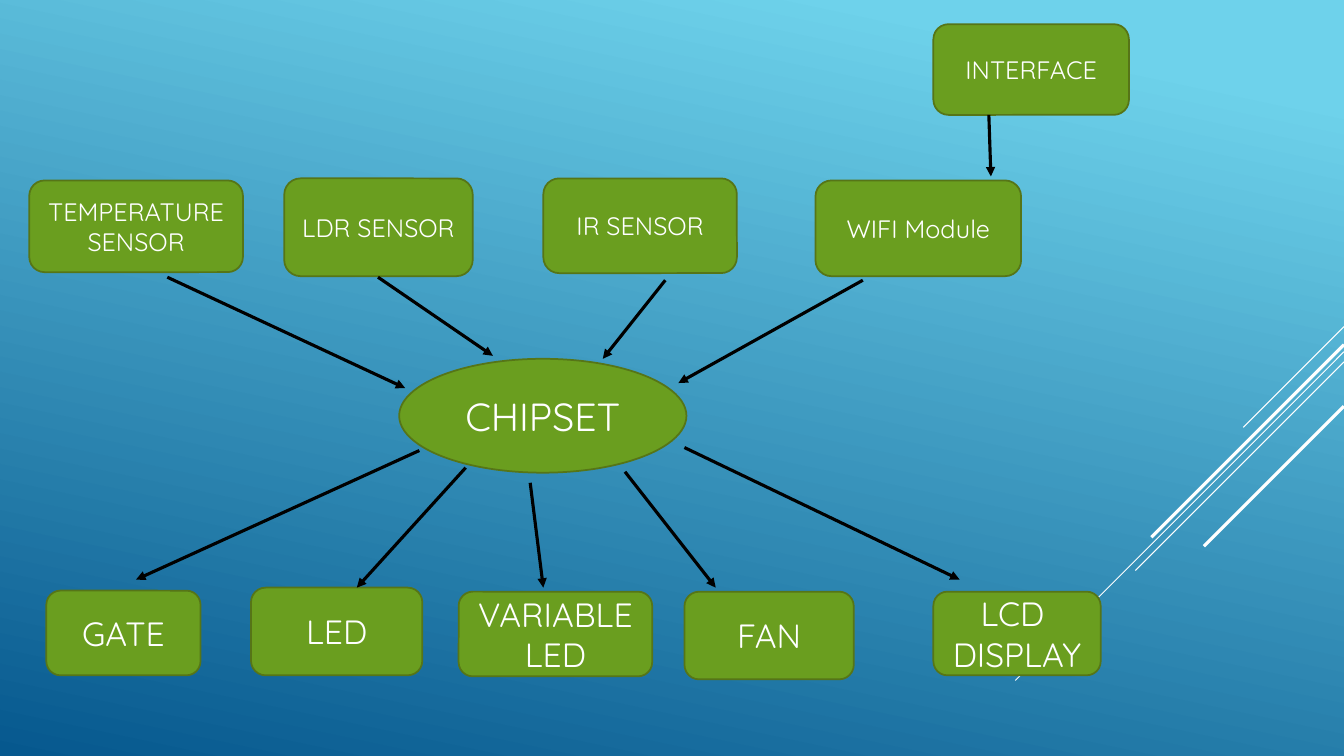
import pptx
import pptx.util
import pptx.dml.color
import pptx.enum.shapes
import pptx.enum.text
import pptx.oxml.ns
import lxml.etree

KIND = pptx.enum.shapes.MSO_SHAPE
FONT = "Quicksand"
WIDE, HIGH = 133.33, 75

INPUTS = [
    ("TEMPERATURE SENSOR", (0, 0.2, 21.2, 9.1), (13.7, 9.8, 37.3, 20.8)),
    ("LDR SENSOR", (25.3, 0, 18.7, 9.7), (34.6, 9.8, 46, 17.6)),
    ("IR SENSOR", (51, 0, 19.2, 9.4), (63.1, 10.1, 56.9, 17.9)),
    ("WIFI Module", (78, 0.2, 20.4, 9.5), (82.7, 10.1, 64.4, 20.3)),
]
OUTPUTS = [
    ("GATE", (0, 0.3, 15.3, 8.4), (37, -13.6, 8.9, -0.8)),
    ("LED", (20.3, 0, 17, 8.7), (41.6, -11.9, 30.8, 0)),
    ("VARIABLE\vLED", (40.9, 0.4, 19.2, 8.4), (48, -10.4, 49.3, 0)),
    ("FAN", (63.3, 0.4, 16.8, 8.7), (57.4, -11.5, 66.4, 0)),
    ("LCD \nDISPLAY", (88, 0.4, 16.6, 8.3), (63.3, -13.9, 90.6, -0.8)),
]
SOURCE = [("INTERFACE", (0, 0, 19.4, 9), (5.5, 9, 5.7, 15.1))]
STREAKS = [
    (32.4, 10, 0.75),
    (34.9, 32.6, 0.75),
    (35.9, 20.7, 0.75),
    (34.2, 19.1, 2.25),
    (40.3, 13.9, 2.25),
]


def grid(count):
    return pptx.util.Inches(count / 10)


def tint(code):
    return pptx.dml.color.RGBColor.from_string(code)


def draw_line(slide, ends, code, width, arrow=False):
    line = slide.shapes.add_connector(
        pptx.enum.shapes.MSO_CONNECTOR.STRAIGHT, *map(grid, ends))
    line.line.color.rgb = tint(code)
    line.line.width = pptx.util.Pt(width)
    props = line.line._get_or_add_ln()
    if arrow:
        tail = lxml.etree.SubElement(props, pptx.oxml.ns.qn("a:tailEnd"))
        tail.set("type", "triangle")
    lxml.etree.SubElement(line._element.spPr, pptx.oxml.ns.qn("a:effectLst"))


def draw_node(slide, kind, box, text, size):
    node = slide.shapes.add_shape(kind, *map(grid, box))
    node.shadow.inherit = False
    node.fill.solid()
    node.fill.fore_color.rgb = tint("6A9E1F")
    node.line.color.rgb = tint("567517")
    node.line.width = pptx.util.Pt(1.25)
    frame = node.text_frame
    frame.word_wrap = True
    frame.vertical_anchor = pptx.enum.text.MSO_ANCHOR.MIDDLE
    frame.text = text
    for para in frame.paragraphs:
        para.alignment = pptx.enum.text.PP_ALIGN.CENTER
        for run in para.runs:
            run.font.name = FONT
            run.font.size = pptx.util.Pt(size)
            run.font.color.rgb = tint("FFFFFF")


def draw_band(slide, left, top, nodes, size):
    for text, (x, y, width, height), (x1, y1, x2, y2) in nodes:
        box = (left + x, top + y, width, height)
        draw_node(slide, KIND.ROUNDED_RECTANGLE, box, text, size)
        ends = (left + x1, top + y1, left + x2, top + y2)
        draw_line(slide, ends, "000000", 2.25, arrow=True)


def draw_back(slide):
    fill = slide.background.fill
    fill.gradient()
    fill.gradient_angle = 258
    stops = [(0.1, "6ED2EB"), (1, "06588E")]
    for stop, (place, code) in zip(fill.gradient_stops, stops):
        stop.position = place
        stop.color.rgb = tint(code)
    for top, run, width in STREAKS:
        draw_line(slide, (WIDE, top, WIDE - run, top + run), "FFFFFF", width)


def main():
    deck = pptx.Presentation()
    deck.slide_width, deck.slide_height = grid(WIDE), grid(HIGH)
    slide = deck.slides.add_slide(deck.slide_layouts[6])
    draw_back(slide)
    draw_band(slide, 92.6, 2.4, SOURCE, 18)
    draw_band(slide, 2.9, 17.7, INPUTS, 18)
    draw_node(slide, KIND.OVAL, (39.6, 35.6, 28.5, 11.3), "CHIPSET", 28)
    draw_band(slide, 4.6, 58.3, OUTPUTS, 24)
    deck.save("out.pptx")


if __name__ == "__main__":
    main()
